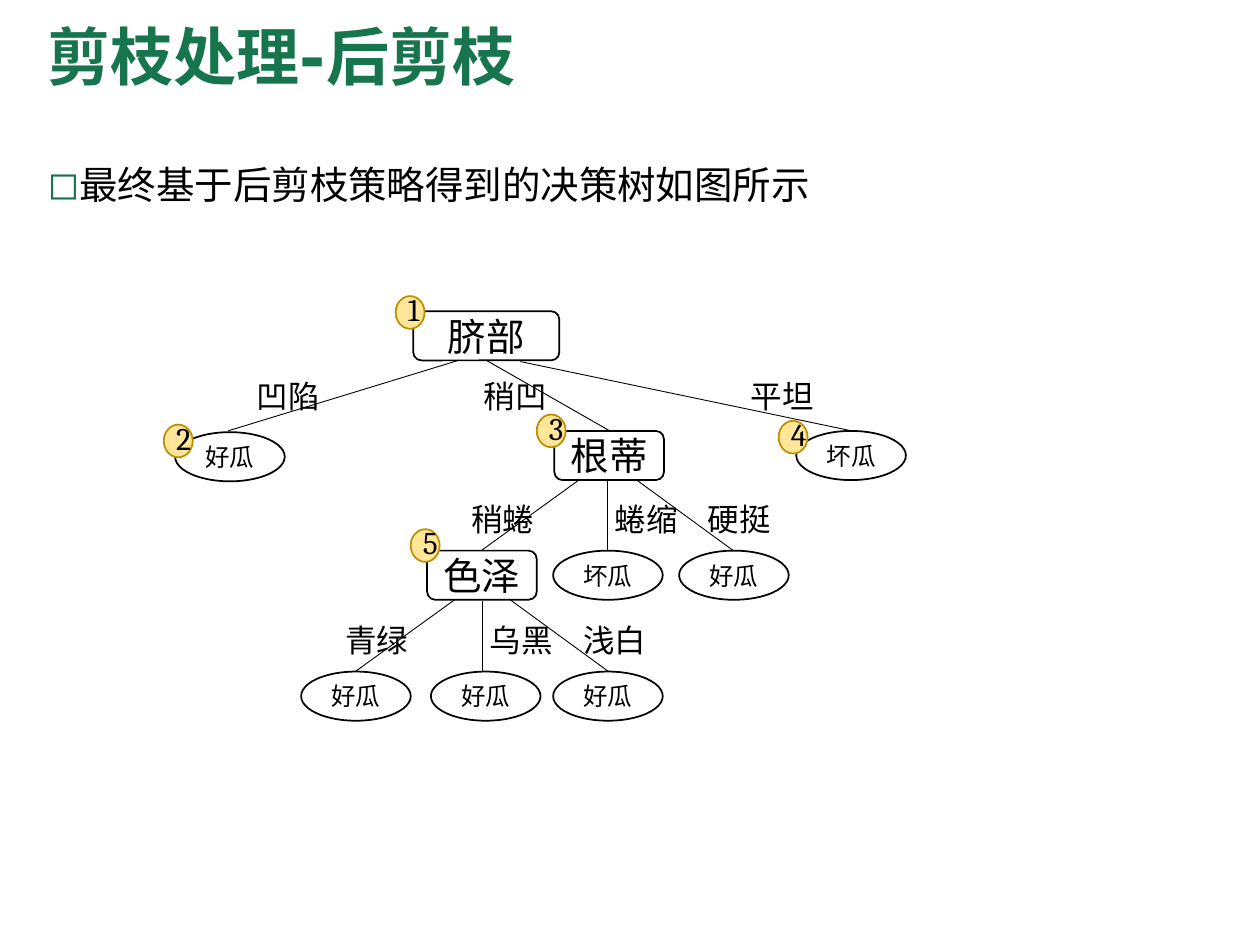
from lxml import etree
from pptx import Presentation
from pptx import util as u
from pptx.dml.color import RGBColor
from pptx.enum import shapes, text
from pptx.oxml import ns

GREEN = RGBColor(0x16, 0x75, 0x4D)
BLACK = RGBColor(0, 0, 0)
WHITE = RGBColor(255, 255, 255)
CREAM = RGBColor(0xFF, 0xE6, 0x99)
GOLD = RGBColor(0xBD, 0x8E, 0x00)
SANS, SERIF, HAN = "DejaVu Sans", "Cambria", "Noto Sans CJK SC"
OVAL = shapes.MSO_SHAPE.OVAL
ROUND = shapes.MSO_SHAPE.ROUNDED_RECTANGLE


def write(shape, words, size, font=SANS, color=BLACK, bold=False, wrap=True,
          align=text.PP_ALIGN.LEFT, anchor=text.MSO_ANCHOR.TOP, space=None):
    frame = shape.text_frame
    frame.word_wrap = wrap
    frame.vertical_anchor = anchor
    para = frame.paragraphs[0]
    para.alignment = align
    para.line_spacing = space
    run = para.add_run()
    run.text = words
    run.font.size = u.Pt(size)
    run.font.name = font
    run.font.bold = bold
    run.font.color.rgb = color
    return para


def node(kind, x, y, wide, high, words, size, font, fill=WHITE, edge=BLACK):
    shape = tree.add_shape(kind, *map(u.Inches, (x, y, wide, high)))
    shape.shadow.inherit = False
    shape.fill.solid()
    shape.fill.fore_color.rgb = fill
    shape.line.color.rgb = edge
    shape.line.width = u.Pt(1)
    write(shape, words, size, font, align=text.PP_ALIGN.CENTER,
          anchor=text.MSO_ANCHOR.MIDDLE)
    return shape


deck = Presentation()
deck.slide_width, deck.slide_height = u.Inches(10), u.Inches(7.5)
slide = deck.slides.add_slide(deck.slide_layouts[5])
tree = slide.shapes

title = tree.title
title.left, title.top = u.Inches(0.28), u.Inches(0.05)
title.width, title.height = u.Inches(8.62), u.Inches(0.85)
write(title, "剪枝处理-后剪枝", 36, color=GREEN, bold=True,
      anchor=text.MSO_ANCHOR.MIDDLE, space=0.9)

body = tree.add_textbox(*map(u.Inches, (0.28, 1.27, 9.42, 5.39)))
para = write(body, "最终基于后剪枝策略得到的决策树如图所示", 22, space=0.9)
para.space_before = u.Pt(10)
props = para._p.get_or_add_pPr()
props.set("marL", str(u.Inches(0.25)))
props.set("indent", str(-u.Inches(0.25)))
tint = etree.SubElement(props, ns.qn("a:buClr"))
etree.SubElement(tint, ns.qn("a:srgbClr")).set("val", str(GREEN))
etree.SubElement(props, ns.qn("a:buFont")).set("typeface", SANS)
etree.SubElement(props, ns.qn("a:buChar")).set("char", "◻")

edges = [
    (3.64, 2.86, 1.81, 3.42), (3.86, 2.86, 4.84, 3.42), (4.13, 2.87, 6.76, 3.42),
    (4.83, 3.64, 3.82, 4.37), (4.82, 3.81, 4.82, 4.37), (4.82, 3.64, 5.82, 4.37),
    (3.83, 4.6, 2.82, 5.33), (3.83, 4.77, 3.83, 5.33), (3.83, 4.6, 4.83, 5.33),
]
for ends in edges:
    line = tree.add_connector(shapes.MSO_CONNECTOR.STRAIGHT, *map(u.Inches, ends))
    line.line.color.rgb = BLACK
    line.line.width = u.Pt(0.5)
    etree.SubElement(line._element.spPr, ns.qn("a:effectLst"))

labels = [
    (2.94, [(1.94, "凹陷"), (3.74, "稍凹"), (5.86, "平坦")]),
    (3.92, [(3.64, "稍蜷"), (4.78, "蜷缩"), (5.52, "硬挺")]),
    (4.88, [(2.64, "青绿"), (3.79, "乌黑"), (4.53, "浅白")]),
]
for y, row in labels:
    for x, words in row:
        label = tree.add_textbox(*map(u.Inches, (x, y, 0.71, 0.4)))
        write(label, words, 18, HAN, wrap=False)
        label.text_frame.auto_size = text.MSO_AUTO_SIZE.SHAPE_TO_FIT_TEXT

for x, y, wide, words in [(3.28, 2.47, 1.16, "脐部"), (4.4, 3.42, 0.87, "根蒂"),
                          (3.39, 4.37, 0.87, "色泽")]:
    node(ROUND, x, y, wide, 0.39, words, 22, SERIF)

leaves = [
    (1.39, 3.43, "好瓜"), (6.32, 3.42, "坏瓜"),
    (4.39, 4.37, "坏瓜"), (5.39, 4.37, "好瓜"),
    (2.39, 5.33, "好瓜"), (3.42, 5.33, "好瓜"), (4.39, 5.33, "好瓜"),
]
for x, y, words in leaves:
    node(OVAL, x, y, 0.87, 0.39, words, 14, SANS)

spots = [(3.14, 2.35), (1.3, 3.37), (4.26, 3.29), (6.18, 3.34), (3.26, 4.2)]
for step, (x, y) in enumerate(spots, 1):
    badge = node(OVAL, x, y, 0.23, 0.26, str(step), 18, SERIF, CREAM, GOLD)
    badge.text_frame.margin_top = 0

deck.save("out.pptx")
